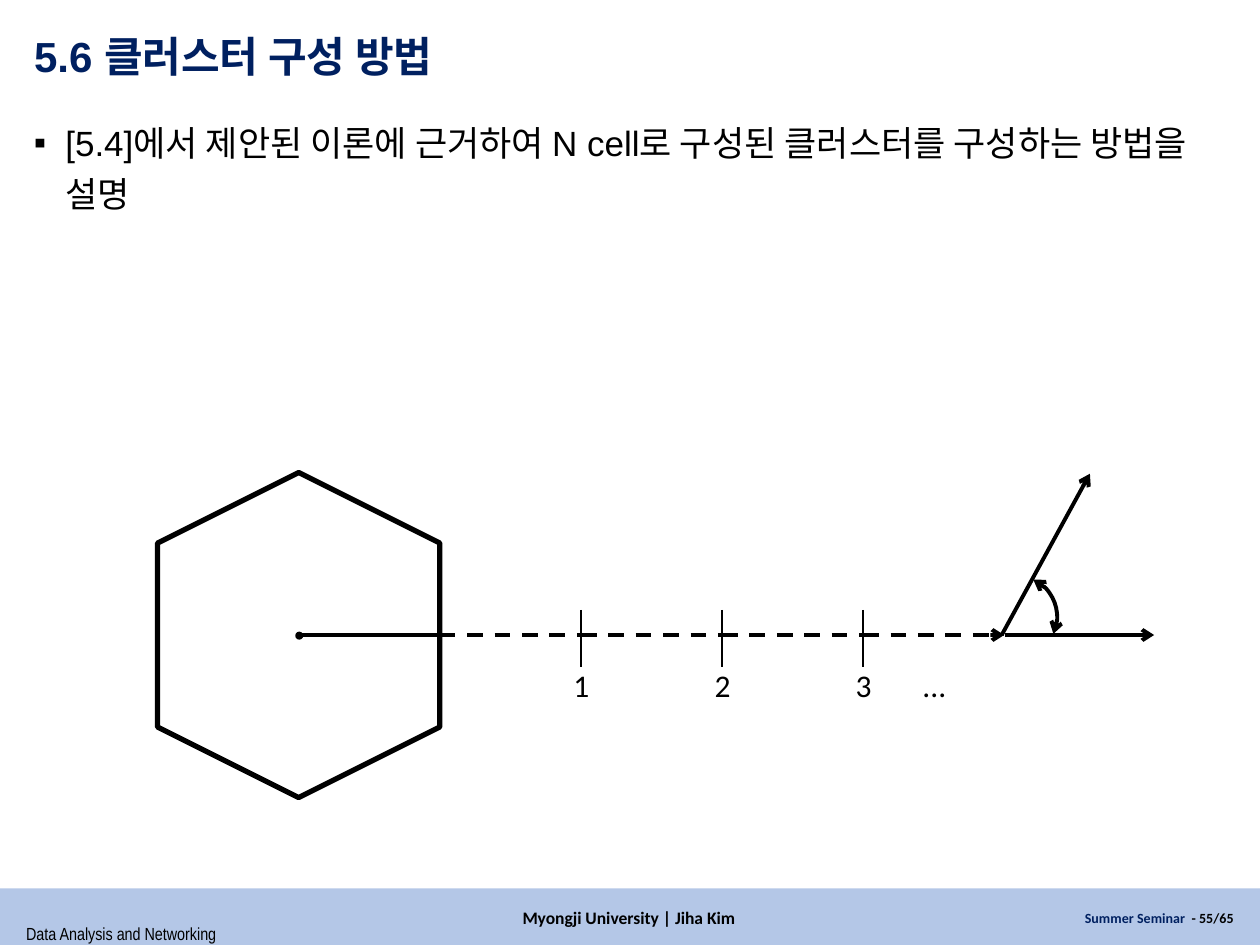
from pptx import Presentation
from pptx.dml.color import RGBColor
from pptx.enum.dml import MSO_LINE
from pptx.enum.shapes import MSO_CONNECTOR, MSO_SHAPE
from pptx.enum.text import MSO_ANCHOR, PP_ALIGN
from pptx.oxml.ns import qn
from pptx.util import Inches, Pt
from lxml.etree import SubElement

HUES = {name: RGBColor.from_string(code) for name, code in {
    "black": "000000", "white": "FFFFFF", "navy": "002060", "band": "B4C7E7",
}.items()}


def add_text(box, runs, size, font="Calibri", bold=False, align=PP_ALIGN.LEFT,
             anchor=MSO_ANCHOR.TOP, wrap=True):
    """Add a text box; runs holds (words, colour) pairs."""
    shape = slide.shapes.add_textbox(*map(Inches, box))
    frame = shape.text_frame
    frame.word_wrap = wrap
    frame.vertical_anchor = anchor
    para = frame.paragraphs[0]
    para.alignment = align
    for words, hue in runs:
        run = para.add_run()
        run.text = words
        run.font.size, run.font.name, run.font.bold = Pt(size), font, bold
        run.font.color.rgb = HUES[hue]
    return para


def add_line(x1, y1, x2, y2, width=2.25, dash=False, arrow=False):
    line = slide.shapes.add_connector(
        MSO_CONNECTOR.STRAIGHT, *map(Inches, (x1, y1, x2, y2)))
    line.line.color.rgb = HUES["black"]
    line.line.width = Pt(width)
    if dash:
        line.line.dash_style = MSO_LINE.DASH
    if arrow:
        SubElement(line.line._get_or_add_ln(), qn("a:tailEnd"), type="arrow")
    SubElement(line._element.spPr, qn("a:effectLst"))


deck = Presentation()
deck.slide_width, deck.slide_height = Inches(10), Inches(7.5)
slide = deck.slides.add_slide(deck.slide_layouts[5])

# Footer band
band = slide.shapes.add_shape(
    MSO_SHAPE.RECTANGLE, Inches(0), Inches(7.05), Inches(10), Inches(0.47))
band.shadow.inherit = False
band.fill.solid()
band.fill.fore_color.rgb = HUES["band"]
band.line.fill.background()
add_text((0.11, 7.28, 1.73, 0.27), [("Data Analysis and Networking", "black")],
         10, "Arial Narrow", wrap=False)
add_text((3.3, 7.16, 3.38, 0.25), [("Myongji University | Jiha Kim", "black")],
         10, bold=True, align=PP_ALIGN.CENTER, anchor=MSO_ANCHOR.MIDDLE)
add_text((7.08, 7.16, 2.81, 0.25),
         [("Summer Seminar  ", "navy"), ("- 55/65", "black")],
         8, bold=True, align=PP_ALIGN.RIGHT, anchor=MSO_ANCHOR.MIDDLE)

# Title and body
title = slide.shapes.title
title.left, title.top = Inches(0.17), Inches(0.19)
title.width, title.height = Inches(9.71), Inches(0.56)
title.text_frame.text = "5.6 클러스터 구성 방법"
title.text_frame.vertical_anchor = MSO_ANCHOR.MIDDLE
head = title.text_frame.paragraphs[0]
head.alignment = PP_ALIGN.LEFT
head.line_spacing = 0.9
font = head.runs[0].font
font.size, font.name, font.bold = Pt(24), "Arial", True
font.color.rgb = HUES["navy"]

body = add_text(
    (0.17, 0.85, 9.65, 6.13),
    [("[5.4]에서 제안된 이론에 근거하여 N cell로 구성된 클러스터를 구성하는 방법을 설명",
      "black")], 20, "Arial")
body.line_spacing = 1.2
props = body._p.get_or_add_pPr()
props.set("marL", str(Inches(0.25)))
props.set("indent", str(-Inches(0.25)))
SubElement(props, qn("a:buFont"), typeface="Arial")
SubElement(props, qn("a:buChar"), char="▪")

# Cell and its centre
axis, start, step = 5.04, 2.37, 1.12
for kind, box, turn, fill, width in (
        (MSO_SHAPE.HEXAGON, (1.08, 3.92, 2.58, 2.24), 90, "white", 3),
        (MSO_SHAPE.OVAL, (2.35, 5.02, 0.05, 0.05), 0, "black", 1),
        (MSO_SHAPE.ARC, (7.74, 4.57, 0.65, 0.65), 24.7, None, 2.25)):
    shape = slide.shapes.add_shape(kind, *map(Inches, box))
    shape.shadow.inherit = False
    shape.rotation = turn
    if fill:
        shape.fill.solid()
        shape.fill.fore_color.rgb = HUES[fill]
    else:
        shape.fill.background()
    shape.line.color.rgb = HUES["black"]
    shape.line.width = Pt(width)
    if kind == MSO_SHAPE.ARC:
        for end in ("a:headEnd", "a:tailEnd"):
            SubElement(shape.line._get_or_add_ln(), qn(end), type="arrow")

# Steps along the axis
for i in range(5):
    x = start + i * step
    add_line(x, axis, x + step, axis, dash=i > 0, arrow=i == 4)
    if i > 1:
        add_line(x, 4.84, x, 5.29, width=1.5)
        add_text((x - 0.16, 5.24, 0.33, 0.4), [(str(i - 1), "black")], 18,
                 align=PP_ALIGN.CENTER, wrap=False)
add_text((7.22, 5.24, 0.39, 0.4), [("...", "black")], 18,
         align=PP_ALIGN.CENTER, wrap=False)

# Turn at the end of the axis
add_line(7.98, axis, 9.16, axis, arrow=True)
add_line(7.95, axis, 8.65, 3.76, arrow=True)

deck.save("out.pptx")
